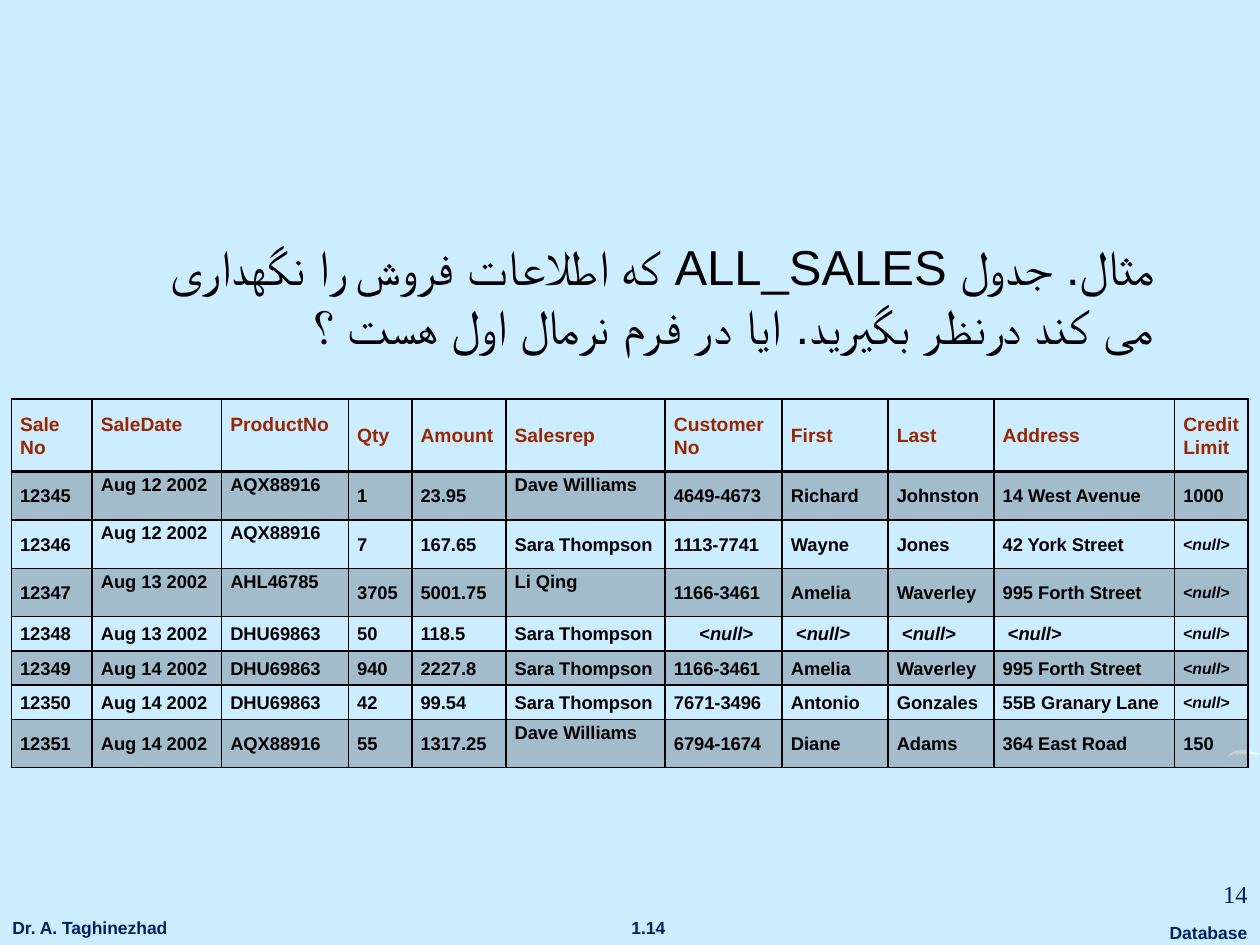
from dataclasses import dataclass

from lxml import etree
from pptx import Presentation
from pptx.dml.color import RGBColor
from pptx.enum.text import MSO_ANCHOR, MSO_AUTO_SIZE, PP_ALIGN
from pptx.oxml.ns import qn
from pptx.util import Pt

LEFT, CENTER, RIGHT = PP_ALIGN.LEFT, PP_ALIGN.CENTER, PP_ALIGN.RIGHT
TOP, MIDDLE, BOTTOM = MSO_ANCHOR.TOP, MSO_ANCHOR.MIDDLE, MSO_ANCHOR.BOTTOM
NO_AUTOFIT = MSO_AUTO_SIZE.NONE
TITLE_ONLY = 5


@dataclass(frozen=True)
class Theme:
    background: str = "CCECFF"
    ink: str = "000000"
    navy: str = "002060"
    heading: str = "992600"
    swoosh: str = "FFFFFF"
    band_alpha: int = 20
    sans: str = "Arial"
    serif: str = "Times New Roman"
    title_size: float = 28
    number_size: float = 14
    heading_size: float = 11
    cell_size: float = 10.5
    small_size: float = 9
    footer_size: float = 10


THEME = Theme()

TITLE = "مثال. جدول ALL_SALES که اطلاعات فروش را نگهداری می کند درنظر بگيريد. ایا در فرم نرمال اول هست ؟"
NULL = "<null>"
COLUMN_WIDTHS = [46.2, 74, 72.5, 36.2, 53.8, 91, 66.9, 60.5, 60.5, 103.2, 42]
ROW_HEIGHTS = [41.6, 27.6, 27.6, 27.6, 19.6, 19.6, 19.6, 27.6]
SALES = [
    ["Sale No", "SaleDate", "ProductNo", "Qty", "Amount", "Salesrep",
     "CustomerNo", "First", "Last", "Address", "CreditLimit"],
    ["12345", "Aug 12 2002", "AQX88916", "1", "23.95", "Dave Williams",
     "4649-4673", "Richard", "Johnston", "14 West Avenue", "1000"],
    ["12346", "Aug 12 2002", "AQX88916", "7", "167.65", "Sara Thompson",
     "1113-7741", "Wayne", "Jones", "42 York Street", NULL],
    ["12347", "Aug 13 2002", "AHL46785", "3705", "5001.75", "Li Qing",
     "1166-3461", "Amelia", "Waverley", "995 Forth Street", NULL],
    ["12348", "Aug 13 2002", "DHU69863", "50", "118.5", "Sara Thompson",
     NULL, NULL, NULL, NULL, NULL],
    ["12349", "Aug 14 2002", "DHU69863", "940", "2227.8", "Sara Thompson",
     "1166-3461", "Amelia", "Waverley", "995 Forth Street", NULL],
    ["12350", "Aug 14 2002", "DHU69863", "42", "99.54", "Sara Thompson",
     "7671-3496", "Antonio", "Gonzales", "55B Granary Lane", NULL],
    ["12351", "Aug 14 2002", "AQX88916", "55", "1317.25", "Dave Williams",
     "6794-1674", "Diane", "Adams", "364 East Road", "150"],
]
CUSTOMER_COLUMN = SALES[0].index("CustomerNo")
CREDIT_COLUMN = SALES[0].index("CreditLimit")
RAISED_COLUMNS = {0: (1, 2), 1: (1, 2, 5), 2: (1, 2), 3: (1, 2, 5), 7: (5,)}
SWOOSH = [(0, 1), (0.05, 0.5), (0.2, 0.15), (0.4, 0), (0.6, 0.1), (0.8, 0.35),
          (1, 0.55), (0.95, 0.7), (0.75, 0.55), (0.55, 0.4), (0.52, 0.85),
          (0.4, 0.4), (0.4, 0.85), (0.28, 0.4), (0.3, 0.85), (0.2, 0.5), (0.05, 0.85)]


def write_text(paragraph, text, *, size, color, font=THEME.sans, bold=False,
               italic=False, align=LEFT):
    paragraph.alignment = align
    run = paragraph.add_run()
    run.text = text
    run.font.size = Pt(size)
    run.font.name = font
    run.font.bold = bold
    run.font.italic = italic
    run.font.color.rgb = RGBColor.from_string(color)
    return run


def place(shape, box):
    shape.left, shape.top, shape.width, shape.height = map(Pt, box)


def add_title(slide, box):
    title = slide.shapes.title
    place(title, box)
    frame = title.text_frame
    frame.auto_size = NO_AUTOFIT
    frame.vertical_anchor = BOTTOM
    paragraph = frame.paragraphs[0]
    run = write_text(paragraph, TITLE, size=THEME.title_size, color=THEME.ink, align=RIGHT)
    paragraph._p.get_or_add_pPr().set("rtl", "1")
    etree.SubElement(run.font._element, qn("a:cs"), typeface=THEME.sans)


def add_label(slide, box, text, wrap=False, **text_format):
    label = slide.shapes.add_textbox(*map(Pt, box))
    label.text_frame.word_wrap = wrap
    label.text_frame.vertical_anchor = TOP
    write_text(label.text_frame.paragraphs[0], text, color=THEME.navy, **text_format)


def add_footer(slide, box):
    left, top, width, height = box
    style = {"size": THEME.footer_size, "bold": True}
    add_label(slide, (left, top, 106, height), "Dr. A. Taghinezhad", **style)
    add_label(slide, (left + 353, top, 35, height), "1.14", align=CENTER, **style)
    add_label(slide, (left + width - 59, top + 3, 59, height), "Database",
              align=CENTER, **style)
    add_label(slide, (left + width - 91, top - 22, 91, 29), "14", wrap=True,
              size=THEME.number_size, font=THEME.serif, align=RIGHT)


def add_swoosh(slide, box):
    left, top, width, height = box
    points = [(Pt(left + x * width), Pt(top + y * height)) for x, y in SWOOSH]
    builder = slide.shapes.build_freeform(*points[0])
    builder.add_line_segments(points[1:], close=True)
    shape = builder.convert_to_shape()
    shape.shadow.inherit = False
    shape.fill.solid()
    shape.fill.fore_color.rgb = RGBColor.from_string(THEME.swoosh)
    shape.line.fill.background()


def set_borders(cell, **widths):
    properties = cell._tc.get_or_add_tcPr()
    for side in "LRTB":
        line = etree.SubElement(properties, qn(f"a:ln{side}"), w=str(Pt(widths.get(side, 1))))
        fill = etree.SubElement(line, qn("a:solidFill"))
        etree.SubElement(fill, qn("a:srgbClr"), val=THEME.ink)


def fill_cell(cell, banded):
    if not banded:
        cell.fill.background()
        return
    cell.fill.solid()
    cell.fill.fore_color.rgb = RGBColor.from_string(THEME.ink)
    color = cell._tc.tcPr.find(f".//{qn('a:solidFill')}[last()]/{qn('a:srgbClr')}")
    for color in cell._tc.tcPr.find(qn("a:solidFill")):
        etree.SubElement(color, qn("a:alpha"), val=str(THEME.band_alpha * 1000))


def write_cell(cell, row, column, text):
    header = row == 0
    indented = text == NULL and column != CREDIT_COLUMN
    cell.vertical_anchor = MIDDLE
    cell.margin_left = Pt(8 if indented else 5)
    cell.margin_right = Pt(5)
    cell.margin_top = 0
    cell.margin_bottom = Pt(13 if column in RAISED_COLUMNS.get(row, ()) else 0)
    paragraph = cell.text_frame.paragraphs[0]
    paragraph.line_spacing = 1.07
    style = {"size": THEME.heading_size if header else THEME.cell_size,
             "color": THEME.heading if header else THEME.ink, "bold": True}
    if text == NULL:
        if not indented:
            style["size"] = THEME.small_size
        elif column == CUSTOMER_COLUMN:
            style["align"] = CENTER
        write_text(paragraph, text[0], **style)
        write_text(paragraph, text[1:], italic=True, **style)
    else:
        write_text(paragraph, text, **style)


def add_sales_table(slide, box):
    frame = slide.shapes.add_table(len(SALES), len(SALES[0]), *map(Pt, box))
    table = frame.table
    table.first_row = table.horz_banding = False
    for column, width in zip(table.columns, COLUMN_WIDTHS):
        column.width = Pt(width)
    for row, height in zip(table.rows, ROW_HEIGHTS):
        row.height = Pt(height)
    for row, values in enumerate(SALES):
        for column, text in enumerate(values):
            cell = table.cell(row, column)
            write_cell(cell, row, column, text)
            set_borders(cell, B=2 if row == 0 else 1, T=2 if row == 1 else 1)
            fill_cell(cell, banded=row % 2 == 1)


def main():
    presentation = Presentation()
    presentation.slide_width, presentation.slide_height = Pt(720), Pt(540)
    slide = presentation.slides.add_slide(presentation.slide_layouts[TITLE_ONLY])
    slide.background.fill.solid()
    slide.background.fill.fore_color.rgb = RGBColor.from_string(THEME.background)
    add_footer(slide, (0, 520.5, 720, 19.5))
    add_swoosh(slide, (702, 428.5, 18, 4))
    add_title(slide, (70, 24, 597, 182))
    add_sales_table(slide, (6.5, 228, sum(COLUMN_WIDTHS), sum(ROW_HEIGHTS)))
    presentation.save("out.pptx")


if __name__ == "__main__":
    main()
